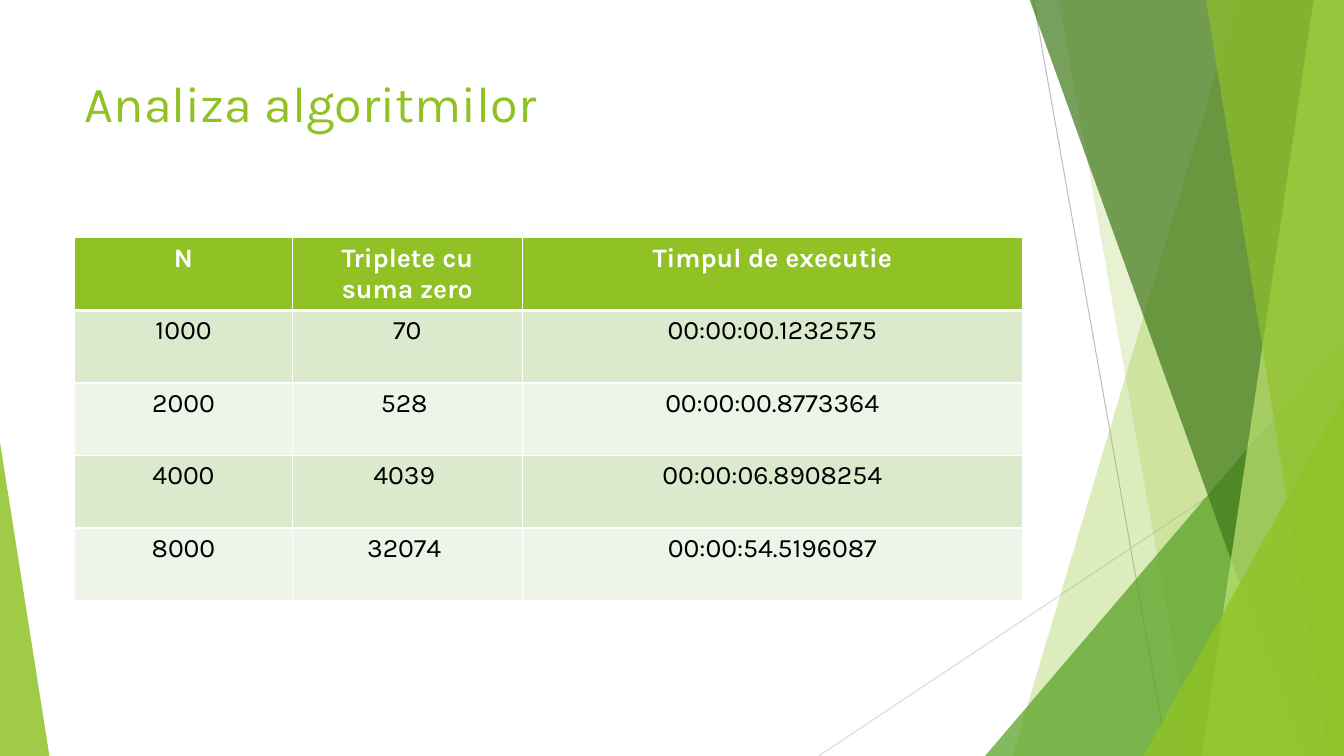
from lxml.etree import SubElement
from pptx import Presentation
from pptx.dml.color import RGBColor
from pptx.enum.shapes import MSO_CONNECTOR, MSO_SHAPE
from pptx.enum.text import MSO_ANCHOR, MSO_AUTO_SIZE, PP_ALIGN
from pptx.oxml.ns import qn
from pptx.util import Inches, Pt

WIDE, HIGH = 13.33, 7.5
TOP = -0.01
LEFT, SPAN = 0.74, 9.4
FACE = "Karla"
HUES = {
    "lime": "90C226", "pale": "C0E474", "green": "54A021", "dark": "3F7819",
    "white": "FFFFFF", "black": "000000", "band": "DBE9CD", "light": "EEF4E8",
    "gray": "BFBFBF", "mist": "D9D9D9",
}
COLS = (2.16, 2.28, 4.96)
ROW = 0.72
ROWS = (
    ("N", "Triplete cu suma zero", "Timpul de executie"),
    ("1000", "70", "00:00:00.1232575"),
    ("2000", "528 ", "00:00:00.8773364"),
    ("4000", "4039 ", "00:00:06.8908254"),
    ("8000", "32074 ", "00:00:54.5196087"),
)


def tint(name):
    return RGBColor.from_string(HUES[name])


def assign(item, **values):
    for name, value in values.items():
        setattr(item, name, value)


def write(frame, text, size, hue, align, bold=False):
    """Put one formatted line of text in a text frame."""
    line = frame.paragraphs[0]
    line.alignment = align
    run = line.add_run()
    run.text = text
    assign(run.font, name=FACE, size=Pt(size), bold=bold)
    run.font.color.rgb = tint(hue)


def add_line(slide, start, end, hue):
    line = slide.shapes.add_connector(
        MSO_CONNECTOR.STRAIGHT, *(Inches(n) for n in start + end))
    line.line.color.rgb = tint(hue)
    line.line.width = Pt(0.75)
    SubElement(line.element.spPr, qn("a:effectLst"))


def paint(shape, hue, alpha):
    """Give a shape a see-through fill with no outline or shadow."""
    shape.shadow.inherit = False
    shape.fill.solid()
    shape.fill.fore_color.rgb = tint(hue)
    color = shape.element.spPr.find(qn("a:solidFill")).find(qn("a:srgbClr"))
    SubElement(color, qn("a:alpha"), val=str(alpha * 1000))
    shape.line.fill.background()


def add_blade(slide, top_x, low_x, hue, alpha):
    """Fill the area from a slanted left edge to the right slide edge."""
    pen = slide.shapes.build_freeform(Inches(top_x), Inches(TOP))
    corners = ((WIDE, TOP), (WIDE, HIGH), (low_x, HIGH))
    pen.add_line_segments([(Inches(x), Inches(y)) for x, y in corners])
    paint(pen.convert_to_shape(), hue, alpha)


def add_wedge(slide, left, top, width, peak, hue, alpha):
    """Add a triangle on the slide's lower edge, its tip at peak (0 to 1)."""
    wedge = slide.shapes.add_shape(
        MSO_SHAPE.ISOSCELES_TRIANGLE, Inches(left), Inches(top),
        Inches(width), Inches(HIGH - top))
    wedge.adjustments[0] = peak
    paint(wedge, hue, alpha)


def add_decor(slide):
    add_line(slide, (10.25, 0), (11.58, HIGH), "gray")
    add_line(slide, (WIDE, 4.03), (8.12, HIGH), "mist")
    add_blade(slide, 12.28, 10.04, "lime", 30)
    add_blade(slide, 10.5, 11.83, "lime", 20)
    add_wedge(slide, 9.77, 3.33, 3.56, 1, "green", 72)
    add_blade(slide, 10.21, 12.91, "dark", 70)
    add_blade(slide, 13.03, 11.92, "pale", 70)
    add_blade(slide, 11.96, 13.18, "lime", 65)
    add_wedge(slide, 11.34, 3.93, 1.99, 1, "lime", 80)
    add_wedge(slide, 0, 4.39, 0.49, 0, "lime", 85)


def set_title(slide, text):
    title = slide.shapes.title
    assign(title, left=Inches(LEFT), top=Inches(0.67),
           width=Inches(SPAN), height=Inches(1.44))
    frame = title.text_frame
    assign(frame, word_wrap=True, auto_size=MSO_AUTO_SIZE.NONE,
           vertical_anchor=MSO_ANCHOR.TOP)
    write(frame, text, 36, "lime", PP_ALIGN.LEFT)


def add_edges(cell, **widths):
    """Draw white cell borders with the given point widths."""
    props = cell._tc.get_or_add_tcPr()
    for side, width in widths.items():
        edge = SubElement(props, qn("a:ln" + side), w=str(Pt(width)))
        fill = SubElement(edge, qn("a:solidFill"))
        SubElement(fill, qn("a:srgbClr"), val=HUES["white"])


def fill_cell(cell, text, row):
    head = row == 0
    add_edges(cell, L=1, R=1, T=3 if row == 1 else 1, B=3 if head else 1)
    cell.fill.solid()
    cell.fill.fore_color.rgb = tint(
        "lime" if head else "band" if row % 2 else "light")
    assign(cell, margin_left=Inches(0.12), margin_right=Inches(0.12),
           margin_top=Inches(0.05), margin_bottom=Inches(0.05),
           vertical_anchor=MSO_ANCHOR.TOP)
    write(cell.text_frame, text, 19, "white" if head else "black",
          PP_ALIGN.CENTER, head)


def add_times(slide):
    table = slide.shapes.add_table(
        len(ROWS), len(COLS), Inches(LEFT), Inches(2.36),
        Inches(SPAN), Inches(ROW * len(ROWS))).table
    for col, width in zip(table.columns, COLS):
        col.width = Inches(width)
    for r, texts in enumerate(ROWS):
        table.rows[r].height = Inches(ROW)
        for c, text in enumerate(texts):
            fill_cell(table.cell(r, c), text, r)


def main():
    deck = Presentation()
    assign(deck, slide_width=Inches(WIDE), slide_height=Inches(HIGH))
    slide = deck.slides.add_slide(deck.slide_layouts.get_by_name("Title Only"))
    add_decor(slide)
    set_title(slide, "Analiza algoritmilor")
    add_times(slide)
    deck.save("out.pptx")


if __name__ == "__main__":
    main()
